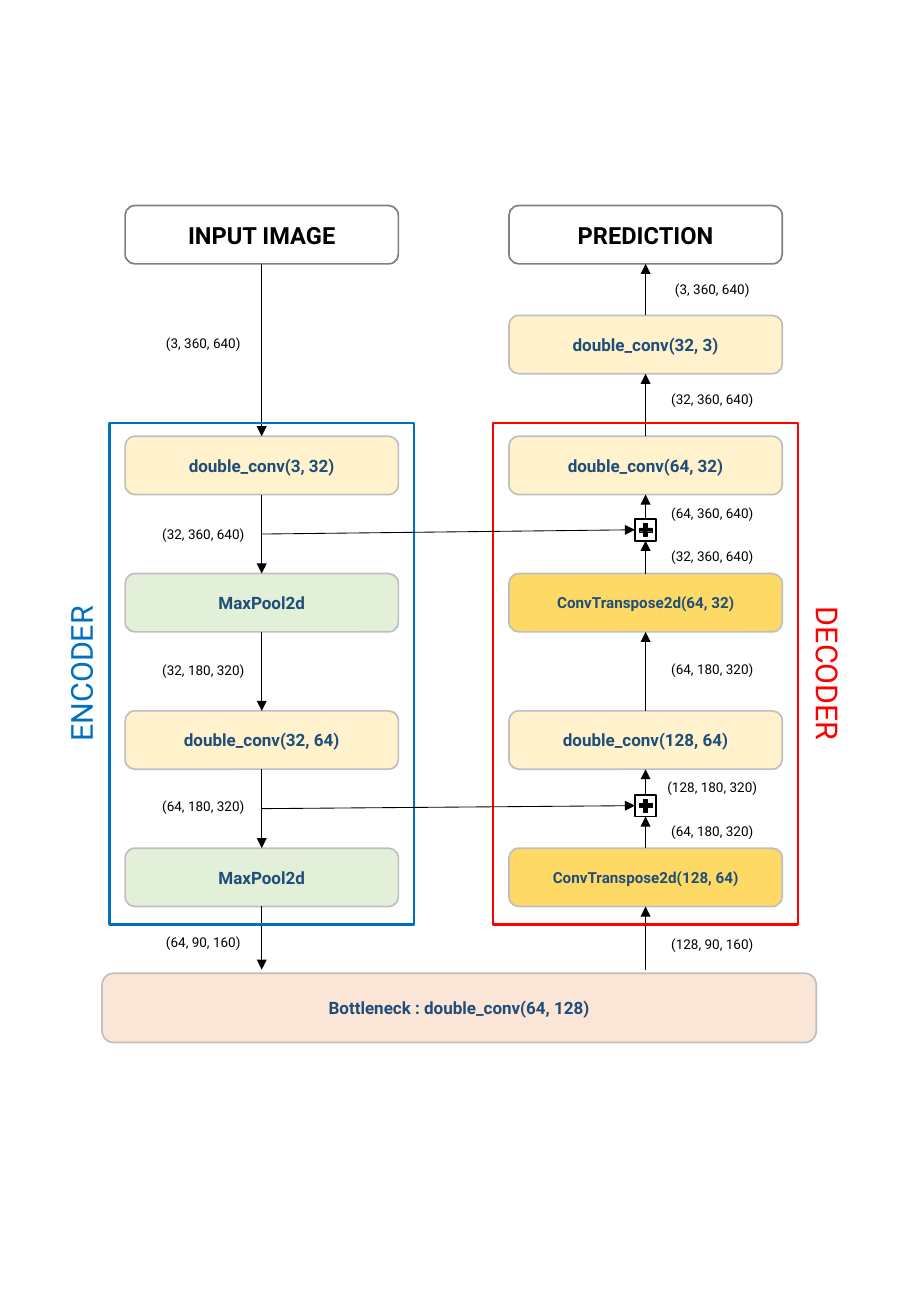
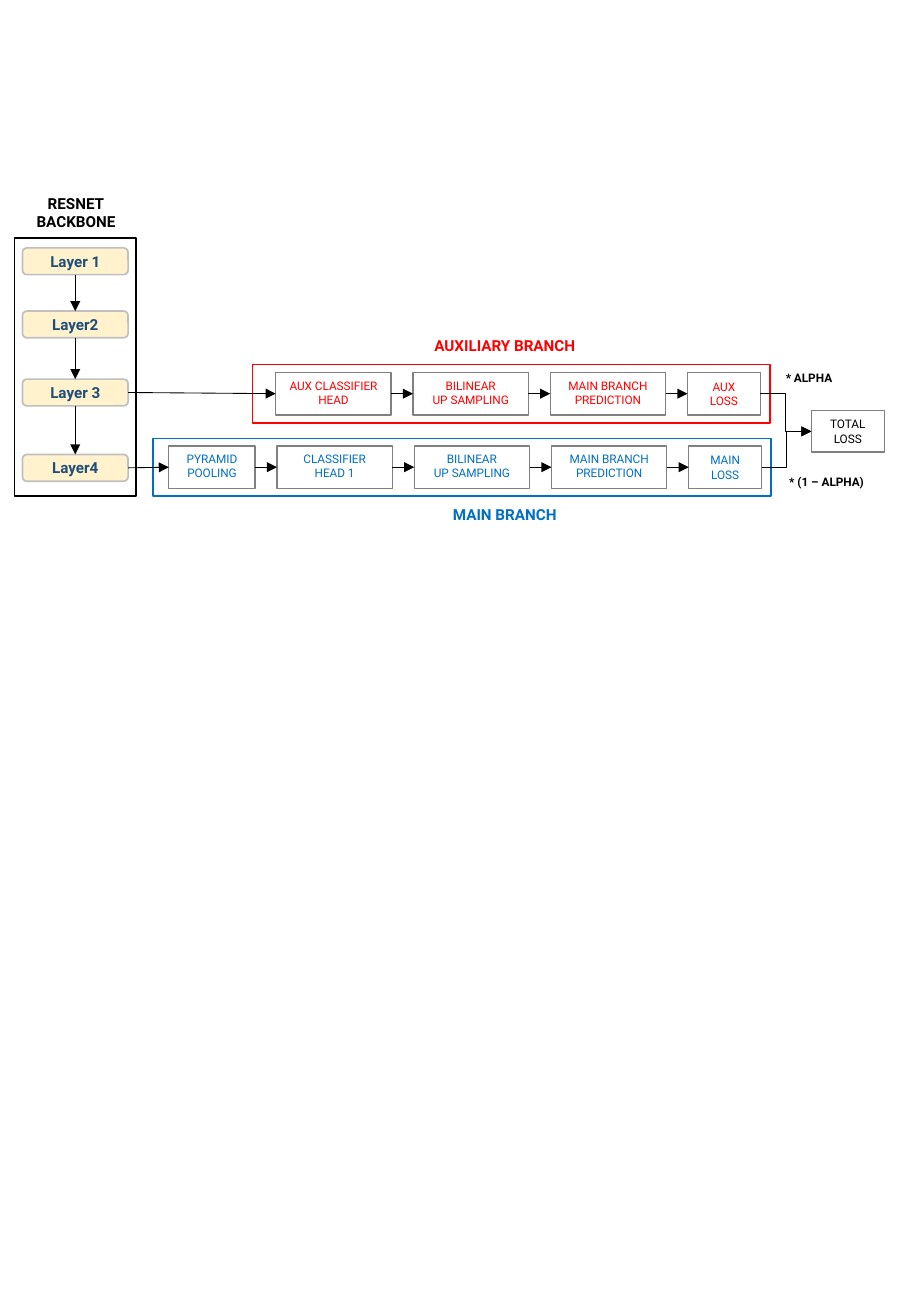
import dataclasses
import itertools

import pptx
import pptx.dml.color
import pptx.enum.shapes
import pptx.enum.text
import pptx.oxml.ns
import pptx.util
from lxml import etree

RGBColor = pptx.dml.color.RGBColor
SHAPES = pptx.enum.shapes.MSO_SHAPE
LINKS = pptx.enum.shapes.MSO_CONNECTOR
ANCHOR = pptx.enum.text.MSO_ANCHOR
ALIGN = pptx.enum.text.PP_ALIGN

BLACK = RGBColor(0x00, 0x00, 0x00)
GREY = RGBColor(0x80, 0x80, 0x80)
SILVER = RGBColor(0xBF, 0xBF, 0xBF)
NAVY = RGBColor(0x1F, 0x4E, 0x79)
BLUE = RGBColor(0x00, 0x70, 0xC0)
RED = RGBColor(0xFF, 0x00, 0x00)
CREAM = RGBColor(0xFF, 0xF2, 0xCC)
GREEN = RGBColor(0xE2, 0xF0, 0xD9)
GOLD = RGBColor(0xFF, 0xD9, 0x66)
PEACH = RGBColor(0xFB, 0xE5, 0xD6)

FONT = "Roboto"
CELL = pptx.util.Inches(0.1)  # the page is a grid of 75 columns by 108.3 rows
COLUMNS, ROWS = 75, 108.3

# Network diagram, in cells
BLOCK_WIDTH, BLOCK_HEIGHT, BLOCK_PITCH = 22.5, 4.8, 11.3
LABEL_WIDTH, LABEL_HEIGHT = 12.3, 2.4
MERGE_WIDTH, MERGE_HEIGHT, PLUS = 1.75, 1.8, 1.4

# Branch diagram, in cells
STAGE_HEIGHT, STAGE_GAP, STAGE_INSET = 3.5, 1.8, 0.8
LAYER_WIDTH, LAYER_HEIGHT = 8.7, 2.2

END_BLOCK = {"fill": None, "line": GREY, "colour": BLACK, "size": 14}
CONV = {"fill": CREAM, "line": SILVER, "colour": NAVY, "size": 10.1}
POOL = {**CONV, "fill": GREEN}
TRANSPOSE = {**CONV, "fill": GOLD, "size": 9}
BOTTLENECK = {**CONV, "fill": PEACH}
LAYER = {**CONV, "size": 9}
TIGHT = {"margin_left": 0.6, "margin_right": 0.6, "margin_top": 0.3, "margin_bottom": 0.3}


@dataclasses.dataclass
class Box:
    """A rectangle measured in grid cells."""
    left: float
    top: float
    width: float
    height: float

    @property
    def right(self):
        return self.left + self.width

    @property
    def bottom(self):
        return self.top + self.height

    @property
    def center(self):
        return self.left + self.width / 2

    @property
    def middle(self):
        return self.top + self.height / 2

    def lengths(self):
        return [round(cells * CELL) for cells in (self.left, self.top, self.width, self.height)]


def centered(center, middle, width, height):
    return Box(center - width / 2, middle - height / 2, width, height)


def write(shape, text, colour, size, bold=False, anchor=ANCHOR.TOP, margins=None):
    frame = shape.text_frame
    frame.word_wrap = True
    frame.vertical_anchor = anchor
    for name, cells in (margins or {}).items():
        setattr(frame, name, round(cells * CELL))
    for index, line in enumerate(text.split("\n")):
        para = frame.paragraphs[0] if index == 0 else frame.add_paragraph()
        para.alignment = ALIGN.CENTER
        span = para.add_run()
        span.text = line
        for name, value in {"name": FONT, "size": pptx.util.Pt(size), "bold": bold}.items():
            setattr(span.font, name, value)
        span.font.color.rgb = colour


def add_label(page, box, text, colour=BLACK, size=8, bold=False, turn=0):
    label = page.shapes.add_textbox(*box.lengths())
    label.rotation = turn
    write(label, text, colour, size, bold)


def add_outline(page, box, line, weight, fill=None, kind=SHAPES.RECTANGLE):
    shape = page.shapes.add_shape(kind, *box.lengths())
    shape.shadow.inherit = False
    if fill is None:
        shape.fill.background()
    else:
        shape.fill.solid()
        shape.fill.fore_color.rgb = fill
    shape.line.color.rgb = line
    shape.line.width = pptx.util.Pt(weight)
    return shape


def add_block(page, box, text, style):
    block = add_outline(page, box, style["line"], 1, style["fill"], SHAPES.ROUNDED_RECTANGLE)
    write(block, text, style["colour"], style["size"], True, ANCHOR.MIDDLE, TIGHT)


def add_arrow(page, start, end, kind=LINKS.STRAIGHT):
    points = [round(cells * CELL) for cells in (*start, *end)]
    arrow = page.shapes.add_connector(kind, *points)
    arrow.line.color.rgb = BLACK
    arrow.line.width = pptx.util.Pt(0.5)
    name = pptx.oxml.ns.qn
    etree.SubElement(arrow.line._get_or_add_ln(), name("a:tailEnd"), type="triangle")
    etree.SubElement(arrow._element.spPr, name("a:effectLst"))


def add_merge(page, box):
    add_outline(page, box, BLACK, 1)
    plus = centered(box.center, box.middle, PLUS, PLUS)
    add_outline(page, plus, BLACK, 0.25, BLACK, SHAPES.MATH_PLUS)


def draw_column(page, box, colour, blocks, labels, label_shift, merges=(), upward=False):
    """Framed chain of blocks; rows count block pitches from the first framed block.

    Blocks are (row, text, style), labels are (middle, text) in cells below the
    frame's top, and merges are middles measured the same way.
    """
    stops = []
    for row, text, style in blocks:
        top = box.top + 1.1 + row * BLOCK_PITCH
        stop = Box(box.center - BLOCK_WIDTH / 2, top, BLOCK_WIDTH, BLOCK_HEIGHT)
        add_block(page, stop, text, style)
        stops.append(stop)
    for middle in merges:
        stop = centered(box.center, box.top + middle, MERGE_WIDTH, MERGE_HEIGHT)
        add_merge(page, stop)
        stops.append(stop)
    stops.sort(key=lambda stop: stop.top)
    foot = Box(box.left, box.bottom + 3.7, box.width, 0)
    for upper, lower in itertools.pairwise([*stops, foot]):
        ends = [(box.center, upper.bottom), (box.center, lower.top)]
        add_arrow(page, *(reversed(ends) if upward else ends))
    for middle, text in labels:
        place = centered(box.center + label_shift, box.top + middle, LABEL_WIDTH, LABEL_HEIGHT)
        add_label(page, place, text)
    add_outline(page, box, colour, 1.5)


def draw_network(page):
    encoder = Box(9, 34.8, 25.1, 41.3)
    decoder = Box(40.6, 34.8, 25.1, 41.3)
    merges = (8.8, 31.5)
    draw_column(
        page, encoder, BLUE,
        [(-1.68, "INPUT IMAGE", END_BLOCK), (0, "double_conv(3, 32)", CONV),
         (1, "MaxPool2d", POOL), (2, "double_conv(32, 64)", CONV), (3, "MaxPool2d", POOL)],
        [(-6.5, "(3, 360, 640)"), (9.2, "(32, 360, 640)"), (20.4, "(32, 180, 320)"),
         (31.6, "(64, 180, 320)"), (42.8, "(64, 90, 160)")],
        -4.8)
    draw_column(
        page, decoder, RED,
        [(-1.68, "PREDICTION", END_BLOCK), (-0.88, "double_conv(32, 3)", CONV),
         (0, "double_conv(64, 32)", CONV), (1, "ConvTranspose2d(64, 32)", TRANSPOSE),
         (2, "double_conv(128, 64)", CONV), (3, "ConvTranspose2d(128, 64)", TRANSPOSE)],
        [(-11, "(3, 360, 640)"), (-1.9, "(32, 360, 640)"), (7.5, "(64, 360, 640)"),
         (11, "(32, 360, 640)"), (20.3, "(64, 180, 320)"), (30, "(128, 180, 320)"),
         (33.6, "(64, 180, 320)"), (42.9, "(128, 90, 160)")],
        5.5, merges, upward=True)
    for row, merge in zip((0, 2), merges):
        gap_middle = encoder.top + 1.1 + row * BLOCK_PITCH + (BLOCK_HEIGHT + BLOCK_PITCH) / 2
        add_arrow(page, (encoder.center, gap_middle),
                  (decoder.center - MERGE_WIDTH / 2, decoder.top + merge))
    for center, text, colour, turn in ((encoder.left - 2.35, "ENCODER", BLUE, 270),
                                       (decoder.right + 2.45, "DECODER", RED, 90)):
        place = centered(center, encoder.middle, 21.3, 4)
        add_label(page, place, text, colour, 18, turn=turn)
    add_block(page, Box(8.4, 80.1, 58.8, 5.7), "Bottleneck : double_conv(64, 128)", BOTTLENECK)


def draw_backbone(page, box, layers):
    """Draws the layers, given as (offset, text), and returns their boxes."""
    add_label(page, Box(box.left + 0.5, box.top - 4.1, 9.1, 4), "RESNET\nBACKBONE", BLACK, 9, True)
    places = []
    for offset, text in layers:
        place = Box(box.center - LAYER_WIDTH / 2, box.top + offset, LAYER_WIDTH, LAYER_HEIGHT)
        add_block(page, place, text, LAYER)
        places.append(place)
    for upper, lower in itertools.pairwise(places):
        add_arrow(page, (box.center, upper.bottom), (box.center, lower.top))
    add_outline(page, box, BLACK, 1)
    return places


def draw_branch(page, box, colour, stages):
    """Draws stages, given as (width, text), against the right edge; returns their boxes."""
    places = []
    right = box.right - STAGE_INSET
    for width, text in reversed(stages):
        place = centered(right - width / 2, box.middle, width, STAGE_HEIGHT)
        anchor = ANCHOR.TOP if places else ANCHOR.MIDDLE
        write(add_outline(page, place, GREY, 0.75), text, colour, 7, anchor=anchor)
        places.insert(0, place)
        right = place.left - STAGE_GAP
    for before, after in itertools.pairwise(places):
        add_arrow(page, (before.right, box.middle), (after.left, box.middle))
    add_outline(page, box, colour, 1)
    return places


def draw_branches(page):
    layers = draw_backbone(
        page, Box(1.2, 19.6, 10, 21.2),
        [(0.8, "Layer 1"), (6, "Layer2"), (11.6, "Layer 3"), (17.8, "Layer4")])
    shared = [(9.5, "BILINEAR\nUP SAMPLING"), (9.5, "MAIN BRANCH PREDICTION")]
    auxiliary = draw_branch(
        page, Box(20.8, 30, 42.6, 4.8), RED,
        [(9.5, "AUX CLASSIFIER HEAD"), *shared, (6, "AUX\nLOSS")])
    main_branch = draw_branch(
        page, Box(12.6, 36.1, 50.9, 4.7), BLUE,
        [(7.1, "PYRAMID POOLING"), (9.5, "CLASSIFIER\nHEAD 1"), *shared, (6, "MAIN\nLOSS")])
    total = Box(66.8, 33.8, 6, 3.4)
    write(add_outline(page, total, GREY, 0.75), "TOTAL LOSS", BLACK, 7, anchor=ANCHOR.MIDDLE)
    for layer, stages in zip(layers[2:], (auxiliary, main_branch)):
        add_arrow(page, (layer.right, layer.middle), (stages[0].left, stages[0].middle))
        add_arrow(page, (stages[-1].right, stages[-1].middle), (total.left, total.middle),
                  LINKS.ELBOW)
    for place, text, colour, size in (
            (Box(33.1, 27.2, 16.9, 2.5), "AUXILIARY BRANCH", RED, 9),
            (Box(35.4, 41.1, 12.3, 2.5), "MAIN BRANCH", BLUE, 9),
            (Box(63.4, 30, 6.4, 2.2), "* ALPHA", BLACK, 7),
            (Box(63.4, 38.6, 9.3, 2.2), "* (1 – ALPHA)", BLACK, 7)):
        add_label(page, place, text, colour, size, True)


def main():
    deck = pptx.Presentation()
    deck.slide_width = round(COLUMNS * CELL)
    deck.slide_height = round(ROWS * CELL)
    for draw in (draw_network, draw_branches):
        draw(deck.slides.add_slide(deck.slide_layouts[6]))
    deck.save("out.pptx")


if __name__ == "__main__":
    main()
